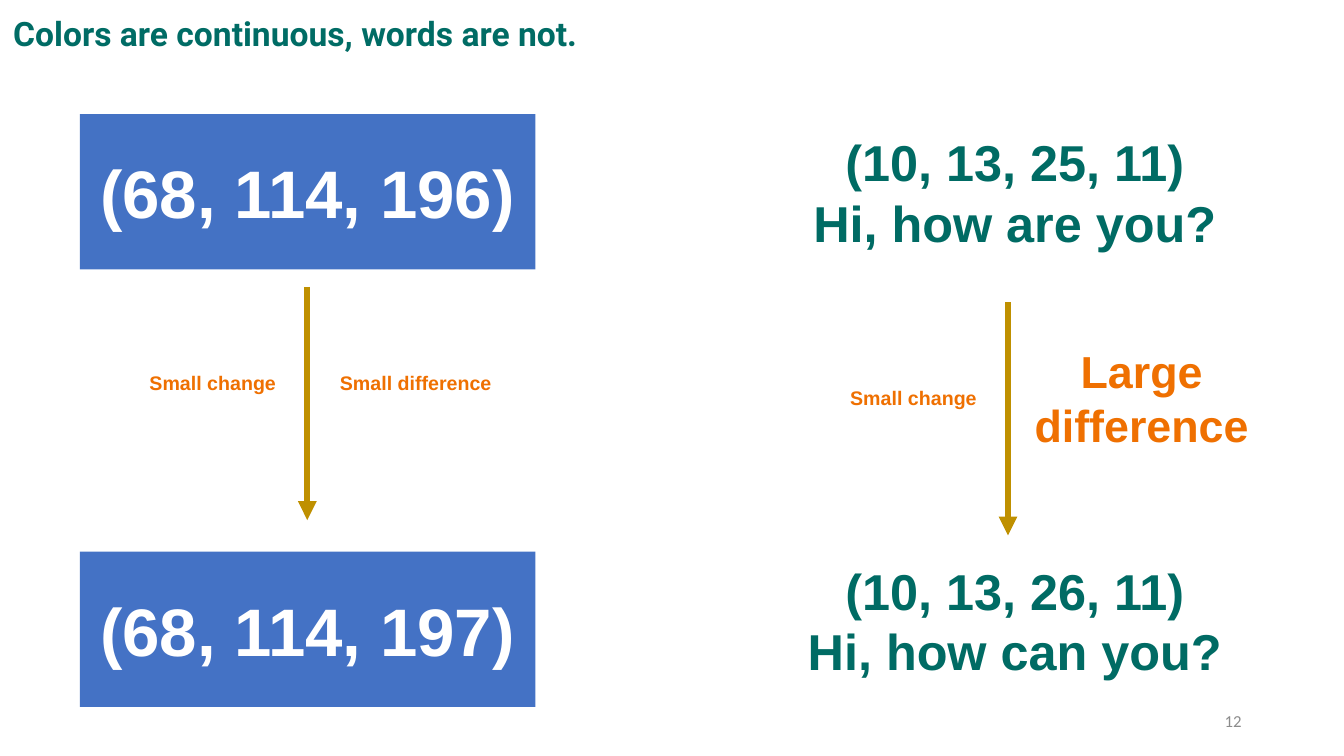
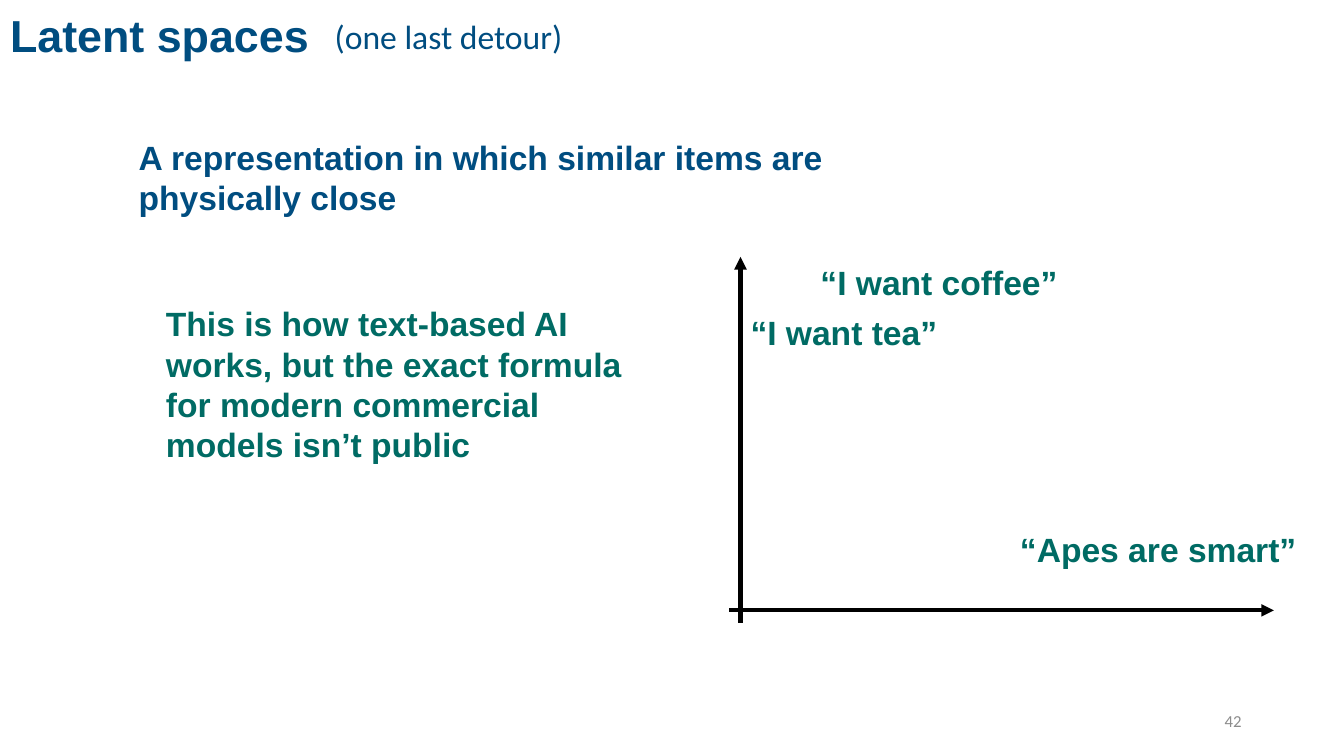
"""Build two slides on colour values, word values and latent spaces."""
from lxml.etree import SubElement
from pptx import Presentation
from pptx.dml.color import RGBColor
from pptx.enum.shapes import MSO_CONNECTOR, MSO_SHAPE
from pptx.enum.text import MSO_ANCHOR, MSO_AUTO_SIZE, PP_ALIGN
from pptx.oxml.ns import qn
from pptx.util import Pt

COLORS = {
    "green": "006B64",
    "title_green": "006C65",
    "navy": "004D80",
    "orange": "EF7001",
    "gold": "BF9000",
    "black": "000000",
    "white": "FFFFFF",
    "gray": "8C8C8C",
    "first_blue": "4472C4",
    "second_blue": "4472C5",
}
LEFT, CENTER, RIGHT = PP_ALIGN.LEFT, PP_ALIGN.CENTER, PP_ALIGN.RIGHT
TOP, MIDDLE = MSO_ANCHOR.TOP, MSO_ANCHOR.MIDDLE


def color(name):
    return RGBColor.from_string(COLORS[name])


class Builder:
    def __init__(self):
        self.deck = Presentation()
        self.deck.slide_width = Pt(960)
        self.deck.slide_height = Pt(540)
        self.page = None

    def add_page(self, number):
        self.page = self.deck.slides.add_slide(self.deck.slide_layouts[5])
        self.text(number, (678, 500, 216, 29), 12, "gray", RIGHT, MIDDLE,
                  font="Calibri", bold=False)

    def style_text(self, box, words, size, tint, align=LEFT, anchor=TOP,
                   font="Arial", bold=True, inset=(7.2, 3.6)):
        frame = box.text_frame
        frame.text = words
        frame.word_wrap = True
        frame.auto_size = MSO_AUTO_SIZE.NONE
        frame.vertical_anchor = anchor
        frame.margin_left = frame.margin_right = Pt(inset[0])
        frame.margin_top = frame.margin_bottom = Pt(inset[1])
        for para in frame.paragraphs:
            para.alignment = align
            for span in para.runs:
                span.font.name = font
                span.font.size = Pt(size)
                span.font.bold = bold
                span.font.color.rgb = color(tint)

    def title(self, words, place, size, tint, **style):
        box = self.page.shapes.title
        box.left, box.top, box.width, box.height = map(Pt, place)
        self.style_text(box, words, size, tint, **style)

    def text(self, words, place, size, tint, *layout, **style):
        box = self.page.shapes.add_textbox(*map(Pt, place))
        self.style_text(box, words, size, tint, *layout, **style)

    def swatch(self, words, place, fill):
        box = self.page.shapes.add_shape(MSO_SHAPE.RECTANGLE, *map(Pt, place))
        box.shadow.inherit = False
        box.fill.solid()
        box.fill.fore_color.rgb = color(fill)
        box.line.fill.background()
        self.style_text(box, words, 48, "white", CENTER, MIDDLE)

    def arrow(self, start, end, tint, width):
        connector = self.page.shapes.add_connector(
            MSO_CONNECTOR.STRAIGHT, *map(Pt, start + end))
        connector.line.color.rgb = color(tint)
        connector.line.width = Pt(width)
        properties = connector._element.spPr
        SubElement(properties.find(qn("a:ln")), qn("a:tailEnd"), type="triangle")
        SubElement(properties, qn("a:effectLst"))

    def change(self, center, top, difference, size, width, height):
        self.arrow((center, top), (center, top + 166.5), "gold", 4.5)
        middle = top + 68
        labels = (("Small change", center - 135, 14, 135, 28),
                  (difference, center + 10, size, width, height))
        for words, left, points, wide, high in labels:
            self.text(words, (left, middle - high / 2, wide, high), points,
                      "orange", CENTER, MIDDLE, inset=(5, 5))


def main():
    builder = Builder()

    builder.add_page("12")
    builder.title("Colors are continuous, words are not.", (0, 0, 866, 48), 24,
                  "title_green", font="Roboto", inset=(9.4, 9.4))
    builder.swatch("(68, 114, 196)", (57, 81.5, 325.5, 111), "first_blue")
    builder.swatch("(68, 114, 197)", (57, 394, 325.5, 111), "second_blue")
    sentences = (("(10, 13, 25, 11)\nHi, how are you?", 88),
                 ("(10, 13, 26, 11)\nHi, how can you?", 394))
    for words, top in sentences:
        builder.text(words, (570, top, 310, 98), 36, "green", CENTER, MIDDLE,
                     inset=(5, 5))
    builder.change(219.5, 205, "Small difference", 14, 135, 28)
    builder.change(720, 216, "Large difference", 32, 171, 89)

    builder.add_page("42")
    builder.title("Latent spaces", (0, 2, 288, 46), 32, "navy")
    builder.text("(one last detour)", (232, 8, 336, 36), 24, "navy",
                 font="Calibri", bold=False)
    builder.text("A representation in which similar items are physically close",
                 (92, 94, 570, 65), 24, "navy")
    builder.text("This is how text-based AI works, but the exact formula for "
                 "modern commercial models isn’t public",
                 (111.5, 213, 348.5, 124), 24, "green")
    builder.arrow((529, 445), (529, 183.5), "black", 3)
    builder.arrow((521, 436), (910, 436), "black", 3)
    quotes = (("“I want coffee”", 579, 183.5, 189),
              ("“I want tea”", 529, 219.5, 157),
              ("“Apes are smart”", 721.5, 374.5, 216))
    for words, left, top, width in quotes:
        builder.text(words, (left, top, width, 36), 24, "green")

    builder.deck.save("out.pptx")


if __name__ == "__main__":
    main()
